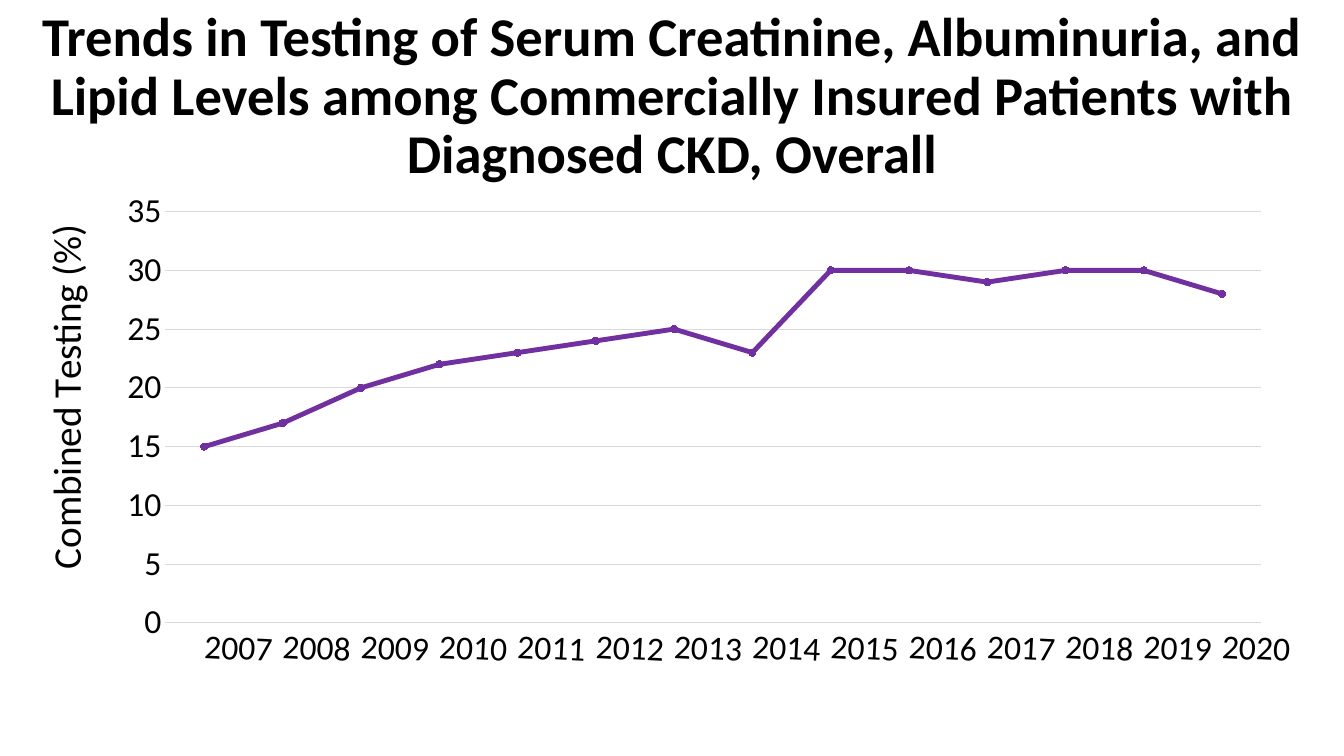
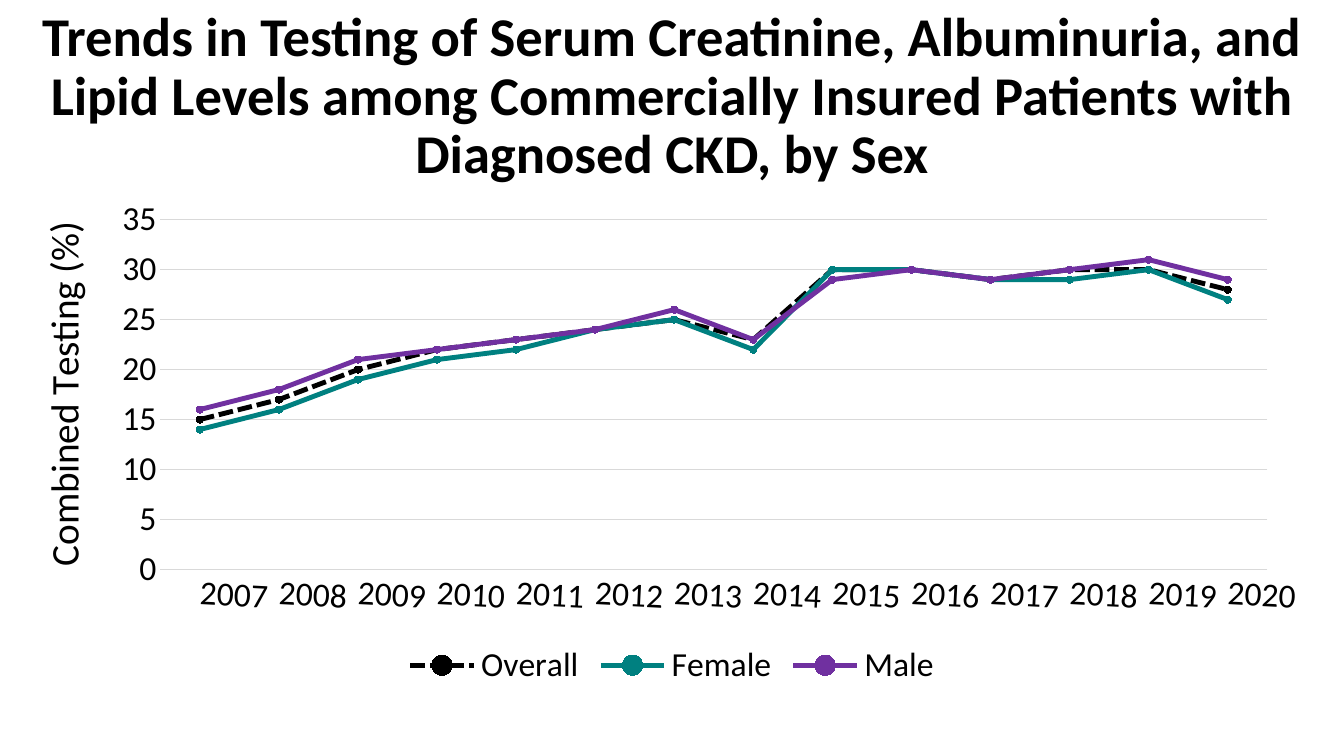
from lxml.etree import SubElement
from pptx import Presentation
from pptx.chart.data import CategoryChartData
from pptx.dml.color import RGBColor
from pptx.enum.chart import XL_CHART_TYPE, XL_LEGEND_POSITION, XL_MARKER_STYLE, XL_TICK_MARK
from pptx.enum.dml import MSO_LINE
from pptx.enum.text import MSO_ANCHOR, PP_ALIGN
from pptx.oxml.ns import qn
from pptx.util import Inches, Pt

BLACK = RGBColor(0x00, 0x00, 0x00)
TEAL = RGBColor(0x00, 0x80, 0x80)
PURPLE = RGBColor(0x70, 0x30, 0xA0)
GRID_GRAY = RGBColor(0xD9, 0xD9, 0xD9)
FONT = "Calibri"

YEARS = [str(year) for year in range(2007, 2021)]
OVERALL = [15, 17, 20, 22, 23, 24, 25, 23, 30, 30, 29, 30, 30, 28]
FEMALE = [14, 16, 19, 21, 22, 24, 25, 22, 30, 30, 29, 29, 30, 27]
MALE = [16, 18, 21, 22, 23, 24, 26, 23, 29, 30, 29, 30, 31, 29]
TITLE = (
    "Trends in Testing of Serum Creatinine, Albuminuria, and Lipid Levels "
    "among Commercially Insured Patients with Diagnosed CKD, "
)


class TrendDeck:
    """Slides that each hold a heading and a line chart of testing rates."""

    def __init__(self):
        self.deck = Presentation()
        self.deck.slide_width = Inches(13.33)
        self.deck.slide_height = Inches(7.5)
        self.page = None

    def add_page(self, title):
        self.page = self.deck.slides.add_slide(self.deck.slide_layouts[6])
        box = self.page.shapes.add_textbox(
            Inches(0.26), Inches(0.24), Inches(12.81), Inches(1.45)
        )
        frame = box.text_frame
        frame.word_wrap = True
        frame.vertical_anchor = MSO_ANCHOR.MIDDLE
        frame.text = title
        para = frame.paragraphs[0]
        para.alignment = PP_ALIGN.CENTER
        para.line_spacing = 0.9
        self.style_font(para.runs[0].font, 39, bold=True)

    def style_font(self, font, size, bold=False):
        font.name = FONT
        font.size = Pt(size)
        font.bold = bold
        font.color.rgb = BLACK

    def style_line(self, line, color, width):
        line.color.rgb = color
        line.width = Pt(width)

    def place(self, element, index, fractions, inner=False):
        for old in element.findall(qn("c:layout")):
            element.remove(old)
        layout = SubElement(element, qn("c:layout"))
        element.insert(index, layout)
        manual = SubElement(layout, qn("c:manualLayout"))
        if inner:
            SubElement(manual, qn("c:layoutTarget"), val="inner")
        for name in ("xMode", "yMode"):
            SubElement(manual, qn(f"c:{name}"), val="edge")
        for name, value in zip("xywh", fractions):
            SubElement(manual, qn(f"c:{name}"), val=f"{value:.4f}")

    def add_trend_chart(self, area, plot, label, series_styles):
        data = CategoryChartData(number_format="0")
        data.categories = YEARS
        for name, values, _, _ in series_styles:
            data.add_series(name, values)
        chart = self.page.shapes.add_chart(
            XL_CHART_TYPE.LINE_MARKERS, *map(Inches, area), data
        ).chart
        chart.has_title = False
        self.style_font(chart.font, 10)
        self.style_axes(chart)
        for series, (_, _, color, dash) in zip(chart.plots[0].series, series_styles):
            self.style_series(series, color, dash)
        chart.has_legend = len(series_styles) > 1
        if chart.has_legend:
            chart.legend.position = XL_LEGEND_POSITION.BOTTOM
            chart.legend.include_in_layout = False
            self.style_font(chart.legend.font, 24)

        left, top, width, height = area
        plot_left, plot_top, plot_width, plot_height = plot
        self.place(
            chart._chartSpace.find(f".//{qn('c:plotArea')}"),
            0,
            (
                (plot_left - left) / width,
                (plot_top - top) / height,
                plot_width / width,
                plot_height / height,
            ),
            inner=True,
        )
        label_left, label_top = label
        self.place(
            chart.value_axis.axis_title._element,
            1,
            ((label_left - left) / width, (label_top - top) / height),
        )

    def style_axes(self, chart):
        years, rates = chart.category_axis, chart.value_axis
        for axis in (years, rates):
            axis.major_tick_mark = XL_TICK_MARK.NONE
            axis.minor_tick_mark = XL_TICK_MARK.NONE
            self.style_font(axis.tick_labels.font, 24)
        self.style_line(years.format.line, GRID_GRAY, 0.75)
        years._element.xpath("c:txPr/a:bodyPr")[0].set("rot", "180000")
        rates.minimum_scale, rates.maximum_scale, rates.major_unit = 0, 35, 5
        rates.tick_labels.number_format = "0"
        rates.tick_labels.number_format_is_linked = False
        rates.format.line.fill.background()
        rates.has_major_gridlines = True
        self.style_line(rates.major_gridlines.format.line, GRID_GRAY, 0.75)
        frame = rates.axis_title.text_frame
        frame.text = "Combined Testing (%)"
        self.style_font(frame.paragraphs[0].runs[0].font, 28)
        body = rates.axis_title._element.xpath(".//a:bodyPr")[0]
        body.set("rot", "-5400000")
        body.set("vert", "horz")

    def style_series(self, series, color, dash):
        series.smooth = False
        self.style_line(series.format.line, color, 3.5)
        if dash:
            series.format.line.dash_style = dash
        marker = series.marker
        marker.style = XL_MARKER_STYLE.CIRCLE
        marker.size = 5
        marker.format.fill.solid()
        marker.format.fill.fore_color.rgb = color
        self.style_line(marker.format.line, color, 0.75)

    def save(self):
        self.deck.save("out.pptx")


def main():
    trends = TrendDeck()

    trends.add_page(TITLE + "Overall")
    trends.add_trend_chart(
        area=(0.26, 1.8, 12.81, 4.99),
        plot=(1.64, 2.1, 10.87, 4.08),
        label=(0.32, 2.16),
        series_styles=[("Series 1", OVERALL, PURPLE, None)],
    )

    trends.add_page(TITLE + "by Sex")
    trends.add_trend_chart(
        area=(0.2, 1.88, 12.93, 4.99),
        plot=(1.59, 2.18, 10.98, 3.47),
        label=(0.3, 2.13),
        series_styles=[
            ("Overall", OVERALL, BLACK, MSO_LINE.SQUARE_DOT),
            ("Female", FEMALE, TEAL, None),
            ("Male", MALE, PURPLE, None),
        ],
    )

    trends.save()


if __name__ == "__main__":
    main()
